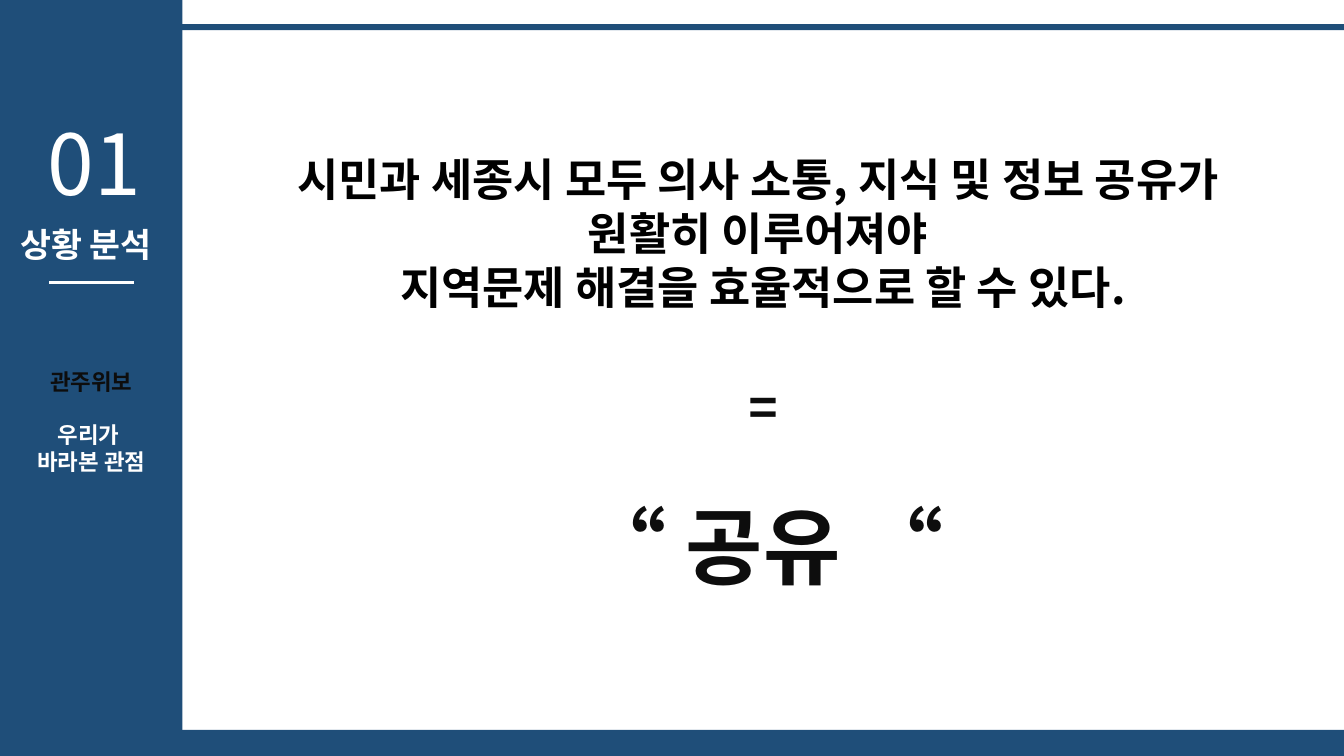
from lxml.etree import SubElement
from pptx import Presentation
from pptx.dml.color import RGBColor
from pptx.enum.shapes import MSO_CONNECTOR as Connector, MSO_SHAPE as Shape
from pptx.enum.text import MSO_ANCHOR as Anchor, PP_ALIGN as Align
from pptx.oxml.ns import qn
from pptx.util import Inches, Pt

NAVY, WHITE, BLACK, INK = "1F4E79", "FFFFFF", "000000", "0D0D0D"
KOREAN, LATIN = "Noto Sans CJK KR", "Arial"
WIDTH, HEIGHT = 13.33, 7.5
SIDEBAR = 1.81


def color(hex_code):
    return RGBColor.from_string(hex_code)


def write(box, lines, bold=True, align=Align.CENTER):
    """Fill a box with (text, size, colour, latin font, space before) lines."""
    frame = box.text_frame
    frame.word_wrap = True
    frame.vertical_anchor = Anchor.TOP
    for index, (text, size, ink, font, gap) in enumerate(lines):
        para = frame.add_paragraph() if index else frame.paragraphs[0]
        para.alignment = align
        para.space_before = Pt(gap)
        span = para.add_run()
        span.text = text
        span.font.size = Pt(size)
        span.font.bold = bold
        span.font.name = font
        span.font.color.rgb = color(ink)
        SubElement(span._r.get_or_add_rPr(), qn("a:ea"), typeface=KOREAN)


deck = Presentation()
deck.slide_width, deck.slide_height = Inches(WIDTH), Inches(HEIGHT)
page = deck.slides.add_slide(deck.slide_layouts[5])
shapes = page.shapes

# Frame: bottom band, sidebar, top rule
for left, top, width, height in [
    (0, HEIGHT - 0.26, WIDTH, 0.26),
    (0, 0, SIDEBAR, HEIGHT),
    (0, 0.24, WIDTH, 0.06),
]:
    band = shapes.add_shape(Shape.RECTANGLE, Inches(left), Inches(top), Inches(width), Inches(height))
    band.shadow.inherit = False
    band.fill.solid()
    band.fill.fore_color.rgb = color(NAVY)
    band.line.fill.background()

# Sidebar: section number, title, rule, topics
number = shapes.add_textbox(Inches(0.24), Inches(1.06), Inches(1.39), Inches(1.11))
write(number, [("01", 60, WHITE, KOREAN, 0)], bold=False)

title = shapes.title
title.left, title.top, title.width, title.height = Inches(0.1), Inches(2.17), Inches(1.67), Inches(0.5)
write(title, [("상황 분석", 24, WHITE, KOREAN, 0)], align=Align.LEFT)
shapes._spTree.append(title._element)  # bring the title in front of the sidebar

rule = shapes.add_connector(Connector.STRAIGHT, Inches(0.49), Inches(2.8), Inches(1.33), Inches(2.8))
rule.line.color.rgb = color(WHITE)
rule.line.width = Pt(2.25)
SubElement(rule._element.spPr, qn("a:effectLst"))

topics = shapes.add_textbox(0, Inches(3.6), Inches(SIDEBAR), Inches(1.18))
write(topics, [
    ("관주위보", 16, INK, KOREAN, 0),
    ("우리가 ", 16, WHITE, KOREAN, 19),
    ("바라본 관점", 16, WHITE, KOREAN, 0),
])

# Main message
message = shapes.add_textbox(Inches(0.8), Inches(1.46), Inches(13.54), Inches(4.55))
write(message, [
    ("시민과 세종시 모두 의사 소통, 지식 및 정보 공유가 ", 32, BLACK, KOREAN, 0),
    ("원활히 이루어져야 ", 32, BLACK, KOREAN, 0),
    ("지역문제 해결을 효율적으로 할 수 있다.", 32, BLACK, KOREAN, 0),
    ("=", 36, INK, LATIN, 43),
    ("“ 공유 “", 60, INK, LATIN, 43),
])

deck.save("out.pptx")
